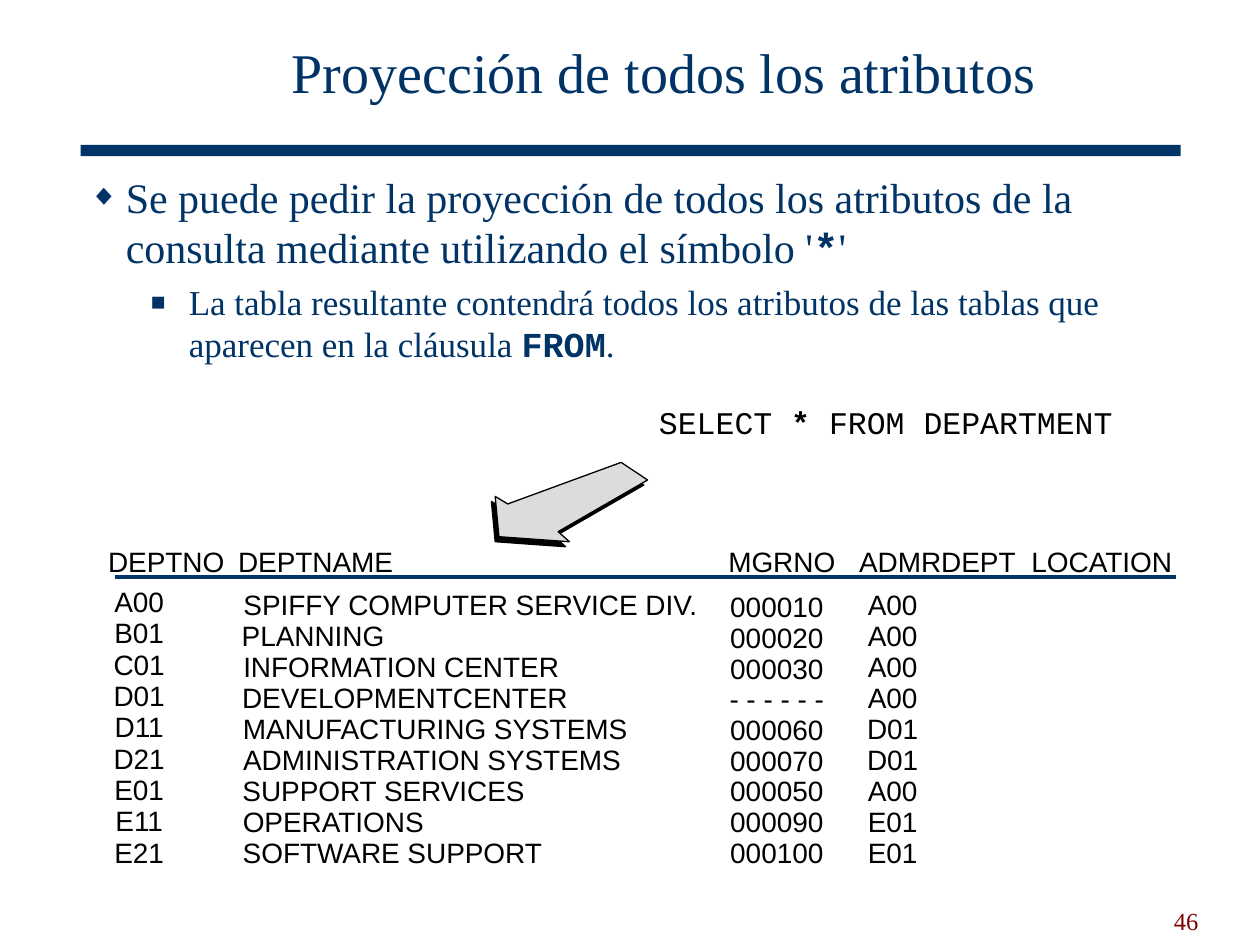
from lxml import etree
from pptx import Presentation
from pptx.dml.color import RGBColor
from pptx.enum.shapes import MSO_CONNECTOR, MSO_SHAPE
from pptx.enum.text import MSO_ANCHOR as Anchor, MSO_AUTO_SIZE as AutoSize, PP_ALIGN as Align
from pptx.oxml.ns import qn
from pptx.util import Inches, Pt

COLORS = {"navy": "003366", "maroon": "800000", "black": "000000", "gray": "DCDCDC"}
SERIF, SANS, MONO = "Times New Roman", "Arial", "Courier New"


def rgb(name):
    return RGBColor.from_string(COLORS[name])


def add_text_box(slide, box, anchor=Anchor.TOP, tight=False):
    """Add a text box; a tight one has no margins and grows with its text."""
    frame = slide.shapes.add_textbox(*map(Inches, box)).text_frame
    frame.word_wrap = not tight
    frame.vertical_anchor = anchor
    if tight:
        frame.auto_size = AutoSize.SHAPE_TO_FIT_TEXT
        frame.margin_left = frame.margin_right = frame.margin_top = frame.margin_bottom = 0
    return frame


def add_run(paragraph, text, size, font, color, bold=False):
    run = paragraph.add_run()
    run.text = text
    run.font.size, run.font.name, run.font.bold = Pt(size), font, bold
    run.font.color.rgb = rgb(color)


def set_bullet(paragraph, char, left, hanging, level):
    props = paragraph._p.get_or_add_pPr()
    props.set("marL", str(Inches(left)))
    props.set("indent", str(-Inches(hanging)))
    props.set("lvl", str(level))
    bullet_color = etree.SubElement(props, qn("a:buClr"))
    etree.SubElement(bullet_color, qn("a:srgbClr"), val=COLORS["navy"])
    etree.SubElement(props, qn("a:buSzPct"), val="70000")
    etree.SubElement(props, qn("a:buFont"), typeface=SANS)
    etree.SubElement(props, qn("a:buChar"), char=char)


def add_heading(slide, box):
    title = add_text_box(slide, box, Anchor.MIDDLE).paragraphs[0]
    title.alignment, title.line_spacing = Align.CENTER, 0.85
    add_run(title, "Proyección de todos los atributos", 32, SERIF, "navy")


def add_rule(slide, box):
    rule = slide.shapes.add_shape(MSO_SHAPE.RECTANGLE, *map(Inches, box))
    rule.shadow.inherit = False
    rule.fill.solid()
    rule.fill.fore_color.rgb = rgb("navy")
    rule.line.fill.background()


def add_page_number(slide, box):
    number = add_text_box(slide, box, Anchor.BOTTOM).paragraphs[0]
    number.alignment = Align.RIGHT
    add_run(number, "46", 14, SERIF, "maroon")


def add_explanation(slide, box):
    frame = add_text_box(slide, box)

    point = frame.paragraphs[0]
    set_bullet(point, "◆", 0.29, 0.29, 0)
    add_run(point, "Se puede pedir la proyección de todos los atributos de la "
                   "consulta mediante utilizando el símbolo '", 24, SERIF, "navy")
    add_run(point, "*", 24, MONO, "navy", bold=True)
    add_run(point, "'", 24, SERIF, "navy")

    detail = frame.add_paragraph()
    set_bullet(detail, "■", 0.79, 0.3, 1)
    detail.space_before = Pt(5)
    add_run(detail, "La tabla resultante contendrá todos los atributos de las tablas "
                    "que aparecen en la cláusula ", 20, SERIF, "navy")
    add_run(detail, "FROM", 20, MONO, "navy", bold=True)
    add_run(detail, ".", 20, SERIF, "navy")


def add_query(slide, box):
    query = add_text_box(slide, box, tight=True).paragraphs[0]
    add_run(query, "SELECT ", 18, MONO, "black")
    add_run(query, "*", 18, MONO, "black", bold=True)
    add_run(query, " FROM DEPARTMENT", 18, MONO, "black")


def add_arrow(slide, left, top):
    """Block arrow with a solid shadow, pointing from the query to its result."""
    outline = [(1.21, 0.14), (1, 0), (0.1, 0.33), (0, 0.27),
               (0.03, 0.59), (0.59, 0.63), (0.5, 0.55)]
    group = slide.shapes.add_group_shape()
    for dx, dy, color in ((-0.03, 0.04, "black"), (0, 0, "gray")):
        points = [(Inches(left + dx + x), Inches(top + dy + y)) for x, y in outline]
        builder = group.shapes.build_freeform(*points[0], scale=1.0)
        builder.add_line_segments(points[1:], close=True)
        arrow = builder.convert_to_shape()
        arrow.shadow.inherit = False
        arrow.fill.solid()
        arrow.fill.fore_color.rgb = rgb(color)
        arrow.line.color.rgb = rgb("black")
        arrow.line.width = Pt(0.75)


def add_cell(slide, text, left, top, width):
    slack = 0.02  # room on each side, so that no text wraps
    box = (left - slack, top, width + 2 * slack, 0.27)
    cell = add_text_box(slide, box, tight=True).paragraphs[0]
    cell.alignment = Align.CENTER
    add_run(cell, text, 16, SANS, "black")


def add_result(slide, left, top):
    """Query result: headers, header line and evenly spaced rows per column."""
    headers = [("DEPTNO", 0, 0.92), ("DEPTNAME", 1.03, 1.23), ("MGRNO", 4.92, 0.85),
               ("ADMRDEPT", 5.96, 1.24), ("LOCATION", 7.32, 1.13)]
    for text, x, width in headers:
        add_cell(slide, text, left + x, top, width)

    names = {"SPIFFY COMPUTER SERVICE DIV.": 3.63, "PLANNING": 1.13,
             "INFORMATION CENTER": 2.53, "DEVELOPMENTCENTER": 2.59,
             "MANUFACTURING SYSTEMS": 3.07, "ADMINISTRATION SYSTEMS": 3.02,
             "SUPPORT SERVICES": 2.25, "OPERATIONS": 1.45, "SOFTWARE SUPPORT": 2.39}
    numbers = "A00 B01 C01 D01 D11 D21 E01 E11 E21".split()
    managers = ["000010", "000020", "000030", "- - - - - -", "000060",
                "000070", "000050", "000090", "000100"]
    parents = "A00 A00 A00 A00 D01 D01 A00 E01 E01".split()

    # Each column: texts, widths, left edge and first row; all share the last row
    last_row = 2.31
    columns = [(numbers, [0.41] * 9, 0.04, 0.32),
               (names, names.values(), 1.06, 0.34),
               (managers, [0.75] * 9, 4.93, 0.36),
               (parents, [0.41] * 9, 6.02, 0.34)]
    for texts, widths, x, first_row in columns:
        pitch = (last_row - first_row) / (len(texts) - 1)
        for row, (text, width) in enumerate(zip(texts, widths)):
            add_cell(slide, text, left + x, top + first_row + row * pitch, width)

    line_y = Inches(top + 0.26)
    header_line = slide.shapes.add_connector(
        MSO_CONNECTOR.STRAIGHT, Inches(left + 0.05), line_y, Inches(left + 8.47), line_y)
    header_line.line.color.rgb = rgb("navy")
    header_line.line.width = Pt(2.25)
    etree.SubElement(header_line._element.spPr, qn("a:effectLst"))


def main():
    deck = Presentation()
    deck.slide_width, deck.slide_height = Inches(10), Inches(7.5)
    slide = deck.slides.add_slide(deck.slide_layouts[6])
    add_rule(slide, (0.64, 1.15, 8.73, 0.09))
    add_page_number(slide, (7.21, 6.97, 2.4, 0.5))
    add_heading(slide, (1.23, 0.14, 8.08, 0.94))
    add_explanation(slide, (0.61, 1.31, 8.7, 5.36))
    add_query(slide, (5.23, 3.2, 3.6, 0.3))
    add_result(slide, 0.86, 4.32)
    add_arrow(slide, 3.93, 3.67)
    deck.save("out.pptx")


if __name__ == "__main__":
    main()
